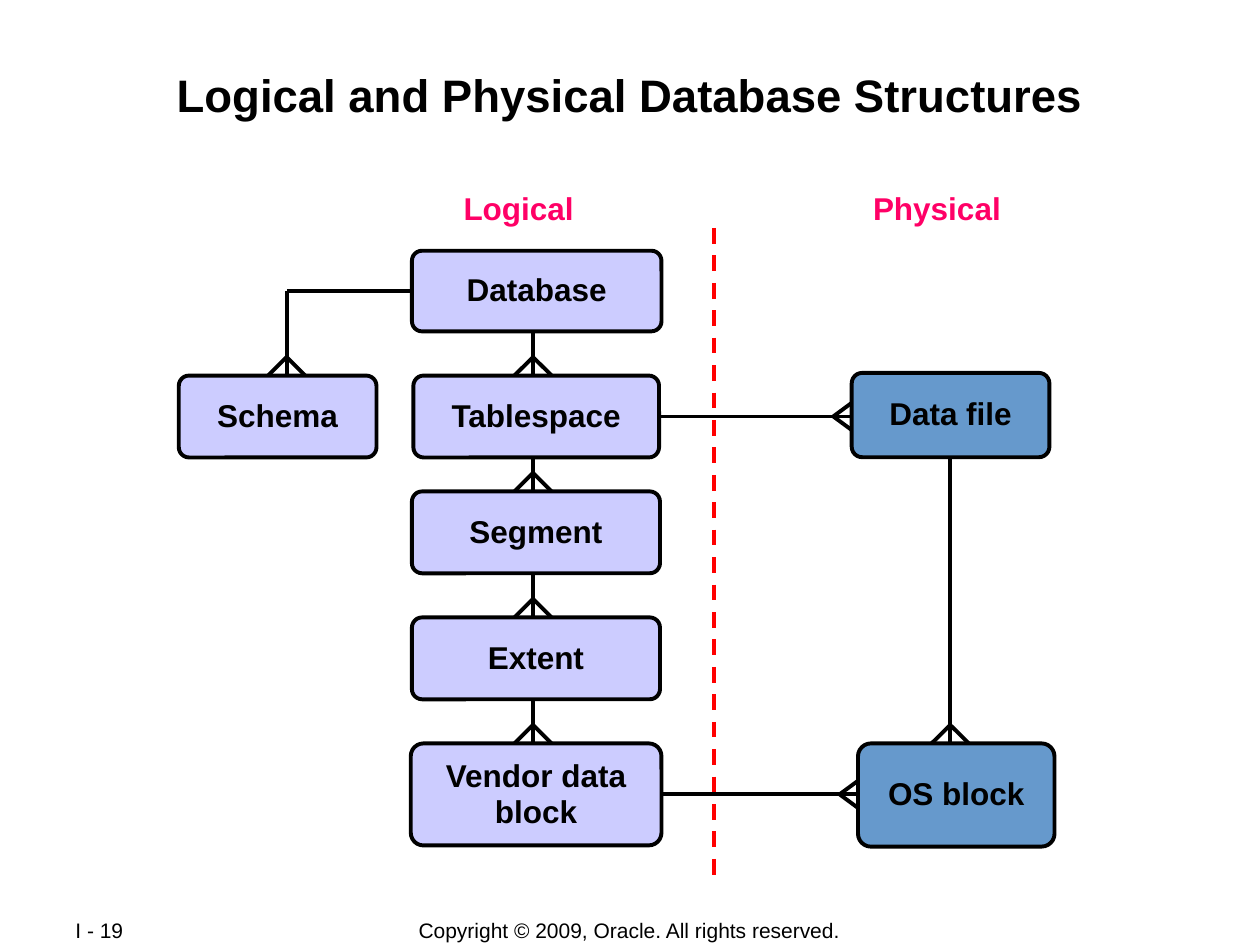
from lxml.etree import SubElement
from pptx import Presentation
from pptx.dml.color import RGBColor
from pptx.enum.dml import MSO_LINE
from pptx.enum.shapes import MSO_CONNECTOR, MSO_SHAPE
from pptx.enum.text import MSO_ANCHOR, PP_ALIGN
from pptx.oxml.ns import qn
from pptx.util import Pt


class Theme:
    font = "Arial"
    ink = RGBColor(0x00, 0x00, 0x00)
    heading = RGBColor(0xFF, 0x00, 0x66)
    divider = RGBColor(0xFF, 0x00, 0x00)
    logical = RGBColor(0xCC, 0xCC, 0xFF)
    physical = RGBColor(0x66, 0x99, 0xCC)
    title_size, label_size, footer_size = 26, 18, 12
    stroke = 2.25


# Content: text, left, top, width, height in points
TITLE = ("Logical and Physical Database Structures", 48, 37.5, 624, 69)
HEADINGS = [
    ("Logical", 257.8, 108, 80, 26),
    ("Physical", 491.8, 108, 92, 26),
]
COPYRIGHT = ("Copyright © 2009, Oracle. All rights reserved.", 198, 524.2, 323.3, 15)
PAGE_NUMBER = ("I - 19", 36, 524.2, 76, 15)

ENTITIES = {
    "Database": (235.4, 143.3, 142.6, 46.1, Theme.logical),
    "Schema": (102.2, 214.6, 113, 46.8, Theme.logical),
    "Tablespace": (236.2, 214.6, 140.4, 46.8, Theme.logical),
    "Segment": (235.4, 280.8, 141.8, 46.8, Theme.logical),
    "Extent": (235.4, 352.8, 141.8, 46.8, Theme.logical),
    "Vendor data\nblock": (234.7, 424.8, 143.3, 58.3, Theme.logical),
    "Data file": (486.7, 213.1, 113, 48.2, Theme.physical),
    "OS block": (490.3, 424.8, 112.3, 59, Theme.physical),
}

# One-to-many links: parent, child, and the x of a downward link
SPINE_X, SCHEMA_X, FILE_X = 304.6, 163.8, 543
DOWN_LINKS = [
    ("Database", "Tablespace", SPINE_X),
    ("Tablespace", "Segment", SPINE_X),
    ("Segment", "Extent", SPINE_X),
    ("Extent", "Vendor data\nblock", SPINE_X),
    ("Data file", "OS block", FILE_X),
]
ACROSS_LINKS = [("Tablespace", "Data file"), ("Vendor data\nblock", "OS block")]
DIVIDER = (408.2, 130.3, 408.2, 501.8)

FOOT_REACH = 10.5  # tip of a crow's foot to the edge of its box
DOWN_FOOT = (17.8, 18)  # length and half spread
ACROSS_FOOT = (11.8, 8.7)


def write(shape, text, size, color, bold=True, align=PP_ALIGN.CENTER,
          anchor=MSO_ANCHOR.MIDDLE, spacing=1.0, inset=(3.6, 3.6)):
    frame = shape.text_frame
    frame.word_wrap = True
    frame.vertical_anchor = anchor
    frame.margin_left = frame.margin_right = Pt(inset[0])
    frame.margin_top = frame.margin_bottom = Pt(inset[1])
    paragraph = frame.paragraphs[0]
    paragraph.alignment = align
    paragraph.line_spacing = spacing
    for index, line in enumerate(text.split("\n")):
        if index:
            paragraph.add_line_break()
        run = paragraph.add_run()
        run.text = line
        run.font.name, run.font.size, run.font.bold = Theme.font, Pt(size), bold
        run.font.color.rgb = color


def add_text(shapes, item, size, color, **style):
    text, *place = item
    write(shapes.add_textbox(*map(Pt, place)), text, size, color, **style)


def add_line(shapes, x1, y1, x2, y2, color=Theme.ink):
    line = shapes.add_connector(MSO_CONNECTOR.STRAIGHT, *map(Pt, (x1, y1, x2, y2)))
    line.line.color.rgb = color
    line.line.width = Pt(Theme.stroke)
    SubElement(line._element.spPr, qn("a:effectLst"))
    return line


def add_foot(shapes, points):
    start, *rest = [(Pt(x), Pt(y)) for x, y in points]
    builder = shapes.build_freeform(*start)
    builder.add_line_segments(rest, close=False)
    foot = builder.convert_to_shape()
    foot.shadow.inherit = False
    foot.fill.background()
    foot.line.color.rgb = Theme.ink
    foot.line.width = Pt(Theme.stroke)


def add_down_foot(shapes, child, x):
    tip = ENTITIES[child][1] - FOOT_REACH
    length, spread = DOWN_FOOT
    add_foot(shapes, [(x - spread, tip + length), (x, tip), (x + spread, tip + length)])


def add_across_foot(shapes, child, y):
    tip = ENTITIES[child][0] - FOOT_REACH
    length, spread = ACROSS_FOOT
    add_foot(shapes, [(tip + length, y - spread), (tip, y), (tip + length, y + spread)])


def middle(name):
    _, top, _, height, _ = ENTITIES[name]
    return top + height / 2


def add_links(shapes):
    for parent, child, x in DOWN_LINKS:
        add_line(shapes, x, middle(parent), x, middle(child))
        add_down_foot(shapes, child, x)
    for parent, child in ACROSS_LINKS:
        y = middle(parent)
        add_line(shapes, SPINE_X, y, FILE_X, y)
        add_across_foot(shapes, child, y)
    # Elbow from Database to Schema
    corner = middle("Database")
    add_line(shapes, ENTITIES["Database"][0], corner, SCHEMA_X, corner)
    add_line(shapes, SCHEMA_X, corner, SCHEMA_X, middle("Schema"))
    add_down_foot(shapes, "Schema", SCHEMA_X)


def add_entities(shapes):
    for name, (*place, fill) in ENTITIES.items():
        box = shapes.add_shape(MSO_SHAPE.ROUNDED_RECTANGLE, *map(Pt, place))
        box.adjustments[0] = 0.125
        box.shadow.inherit = False
        box.fill.solid()
        box.fill.fore_color.rgb = fill
        box.line.color.rgb = Theme.ink
        box.line.width = Pt(Theme.stroke)
        write(box, name, Theme.label_size, Theme.ink, spacing=0.95)


def main():
    deck = Presentation()
    deck.slide_width, deck.slide_height = Pt(720), Pt(540)
    shapes = deck.slides.add_slide(deck.slide_layouts[6]).shapes

    # Footer and title
    footer = dict(bold=False, inset=(7.2, 0))
    add_text(shapes, COPYRIGHT, Theme.footer_size, Theme.ink, **footer)
    add_text(shapes, PAGE_NUMBER, Theme.footer_size, Theme.ink,
             align=PP_ALIGN.LEFT, **footer)
    add_text(shapes, TITLE, Theme.title_size, Theme.ink,
             anchor=MSO_ANCHOR.TOP, inset=(0.7, 0.7))

    # Diagram: links lie behind the boxes
    add_links(shapes)
    add_entities(shapes)
    divider = add_line(shapes, *DIVIDER, color=Theme.divider)
    divider.line.dash_style = MSO_LINE.DASH
    for heading in HEADINGS:
        add_text(shapes, heading, Theme.label_size, Theme.heading, align=PP_ALIGN.LEFT,
                 anchor=MSO_ANCHOR.TOP, spacing=0.85, inset=(7.2, 3.6))

    deck.save("out.pptx")


if __name__ == "__main__":
    main()
